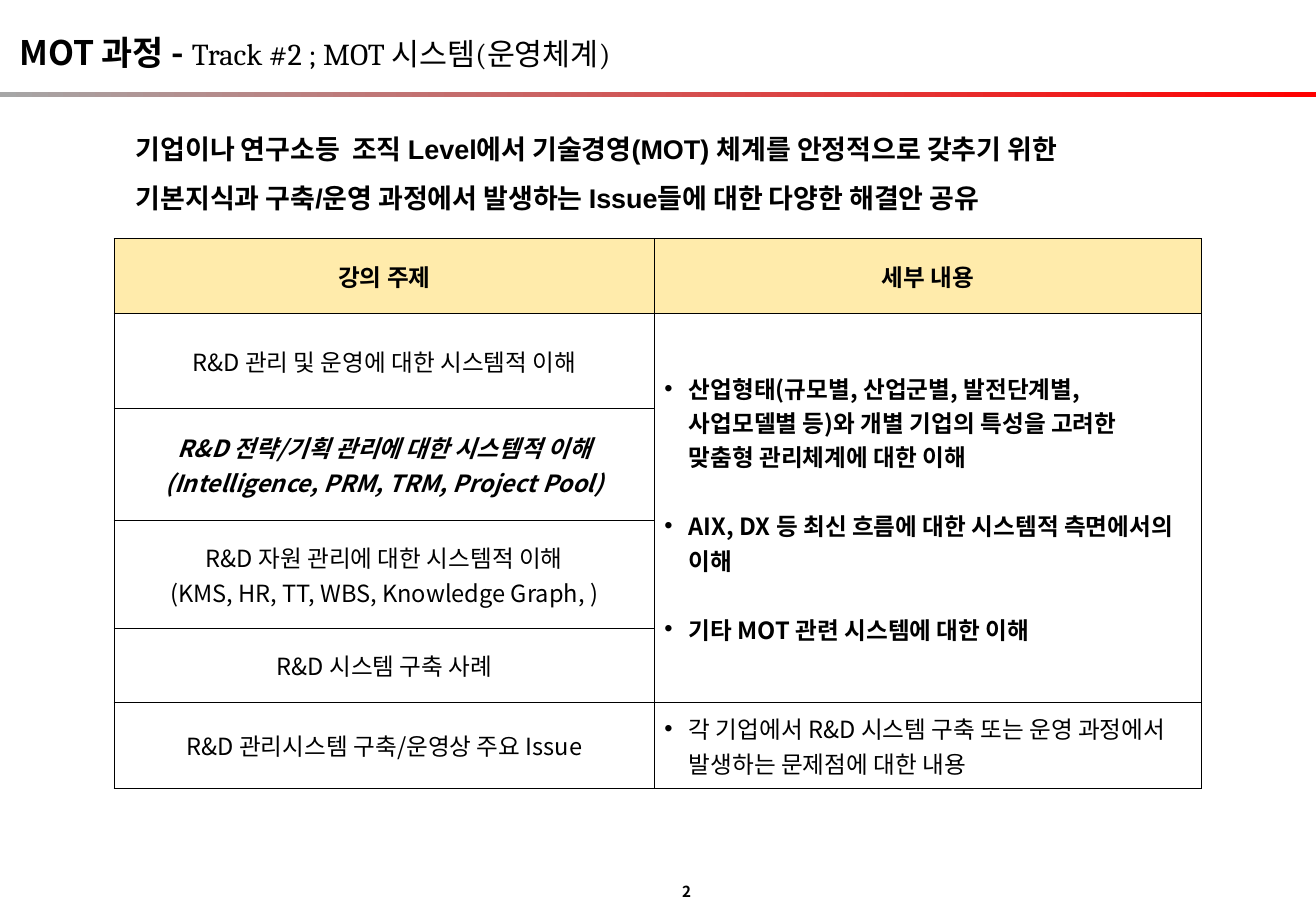
from lxml import etree
from pptx import Presentation
from pptx.dml.color import RGBColor
from pptx.enum.shapes import MSO_SHAPE
from pptx.enum.text import MSO_ANCHOR, PP_ALIGN
from pptx.oxml.ns import qn
from pptx.util import Pt

RECTANGLE = MSO_SHAPE.RECTANGLE
MIDDLE = MSO_ANCHOR.MIDDLE
CENTER, RIGHT = PP_ALIGN.CENTER, PP_ALIGN.RIGHT
KOREAN_FONT = "Noto Sans CJK KR"
BLACK, GREY, RED, CREAM = "000000", "A6A6A6", "FF0000", "FFEBAB"


def color(value):
    return RGBColor.from_string(value)


def add_run(paragraph, text, size, font_name=KOREAN_FONT, bold=False, italic=False):
    run = paragraph.add_run()
    run.text = text
    font_values = {"size": Pt(size), "name": font_name, "bold": bold, "italic": italic}
    for name, value in font_values.items():
        setattr(run.font, name, value)
    run.font.color.rgb = color(BLACK)
    east_asian = etree.Element(qn("a:ea"), typeface=KOREAN_FONT)
    run.font._element.find(qn("a:latin")).addnext(east_asian)


presentation = Presentation()
presentation.slide_width = Pt(780)
presentation.slide_height = Pt(540)
slide = presentation.slides.add_slide(presentation.slide_layouts[6])

# Gradient rule under the title
rule = slide.shapes.add_shape(RECTANGLE, Pt(0), Pt(54.7), Pt(780), Pt(2.9))
rule.shadow.inherit = False
rule.line.fill.background()
rule.fill.gradient()
rule.fill.gradient_angle = 0
for stop, stop_color in zip(rule.fill.gradient_stops, (GREY, RED)):
    stop.color.rgb = color(stop_color)

# Title, introduction and page number
text_boxes = [
    {"frame": (4.3, 15.1, 394.6, 31.7), "wrap": False,
     "runs": [("MOT 과정 - ", 20, KOREAN_FONT, True),
              ("Track #2 ; MOT 시스템(운영체계)", 18, "Cambria", False)]},
    {"frame": (73.4, 65.5, 637.2, 65.5), "wrap": True, "format": {"line_spacing": 1.5},
     "runs": [("기업이나 연구소등  조직 Level에서 기술경영(MOT) 체계를 안정적으로 갖추기 위한 "
               "기본지식과 구축/운영 과정에서 발생하는 Issue들에 대한 다양한 해결안 공유",
               16, "Arial", True)]},
    {"frame": (390.2, 519.1, 26.6, 18), "wrap": False, "format": {"alignment": RIGHT},
     "anchor": MIDDLE, "runs": [("2", 9, KOREAN_FONT, True)]},
]
for box in text_boxes:
    shape = slide.shapes.add_textbox(*[Pt(length) for length in box["frame"]])
    shape.text_frame.word_wrap = box["wrap"]
    shape.text_frame.vertical_anchor = box.get("anchor")
    paragraph = shape.text_frame.paragraphs[0]
    for name, value in box.get("format", {}).items():
        setattr(paragraph, name, value)
    for run_values in box["runs"]:
        add_run(paragraph, *run_values)

# Course table
column_widths = [320.4, 324]
row_heights = [44.6, 56.2, 66.2, 64.1, 43.9, 51.1]
topics = [
    ["강의 주제"],
    ["R&D 관리 및 운영에 대한 시스템적 이해"],
    ["R&D 전략/기획 관리에 대한 시스템적 이해", "(Intelligence, PRM, TRM, Project Pool)"],
    ["R&D 자원 관리에 대한 시스템적 이해", "(KMS, HR, TT, WBS, Knowledge Graph, )"],
    ["R&D 시스템 구축 사례"],
    ["R&D 관리시스템 구축/운영상 주요 Issue"],
]
details = {
    0: ["세부 내용"],
    1: ["산업형태(규모별, 산업군별, 발전단계별, 사업모델별 등)와 개별 기업의 특성을 고려한  "
        "맞춤형 관리체계에 대한 이해",
        "AIX, DX 등 최신 흐름에 대한 시스템적 측면에서의 이해",
        "기타 MOT 관련 시스템에 대한 이해"],
    5: ["각 기업에서 R&D 시스템 구축 또는 운영 과정에서 발생하는 문제점에 대한 내용"],
}
bold_cells = {(0, 0), (0, 1), (1, 1), (2, 0)}
italic_cells = {(2, 0)}

table = slide.shapes.add_table(
    len(row_heights), len(column_widths), Pt(67.7), Pt(141.5),
    Pt(sum(column_widths)), Pt(sum(row_heights))).table
table.first_row = False
table.horz_banding = False
for column, width in zip(table.columns, column_widths):
    column.width = Pt(width)
for row, height in zip(table.rows, row_heights):
    row.height = Pt(height)
table.cell(1, 1).merge(table.cell(4, 1))

for row_index in range(len(row_heights)):
    for column_index in range(len(column_widths)):
        position = (row_index, column_index)
        cell = table.cell(*position)
        is_bulleted = column_index == 1 and row_index > 0
        side_margin = Pt(5.8 if is_bulleted else 2.9)
        cell_format = {"vertical_anchor": MIDDLE, "margin_left": side_margin,
                       "margin_right": side_margin, "margin_top": Pt(2.9),
                       "margin_bottom": Pt(2.9)}
        for name, value in cell_format.items():
            setattr(cell, name, value)

        properties = cell._tc.get_or_add_tcPr()
        for side in "LRTB":
            border_width = Pt(1 if side == "R" and column_index == 1 else 0.75)
            border = etree.SubElement(properties, qn(f"a:ln{side}"), w=str(border_width))
            border_fill = etree.SubElement(border, qn("a:solidFill"))
            etree.SubElement(border_fill, qn("a:srgbClr"), val=BLACK)
        if row_index == 0:
            cell.fill.solid()
            cell.fill.fore_color.rgb = color(CREAM)
        else:
            cell.fill.background()

        lines = topics[row_index] if column_index == 0 else details.get(row_index, [])
        for line_index, line in enumerate(lines):
            text_frame = cell.text_frame
            paragraph = text_frame.add_paragraph() if line_index else text_frame.paragraphs[0]
            if is_bulleted:
                paragraph_properties = paragraph._p.get_or_add_pPr()
                paragraph_properties.set("marL", str(Pt(14.4)))
                paragraph_properties.set("indent", str(Pt(-14.4)))
                etree.SubElement(paragraph_properties, qn("a:buFont"), typeface="Arial")
                etree.SubElement(paragraph_properties, qn("a:buChar"), char="•")
                if line_index:
                    paragraph.space_before = Pt(20.4)
            else:
                paragraph.alignment = CENTER
            add_run(paragraph, line, 14, bold=position in bold_cells,
                    italic=position in italic_cells)

presentation.save("out.pptx")
